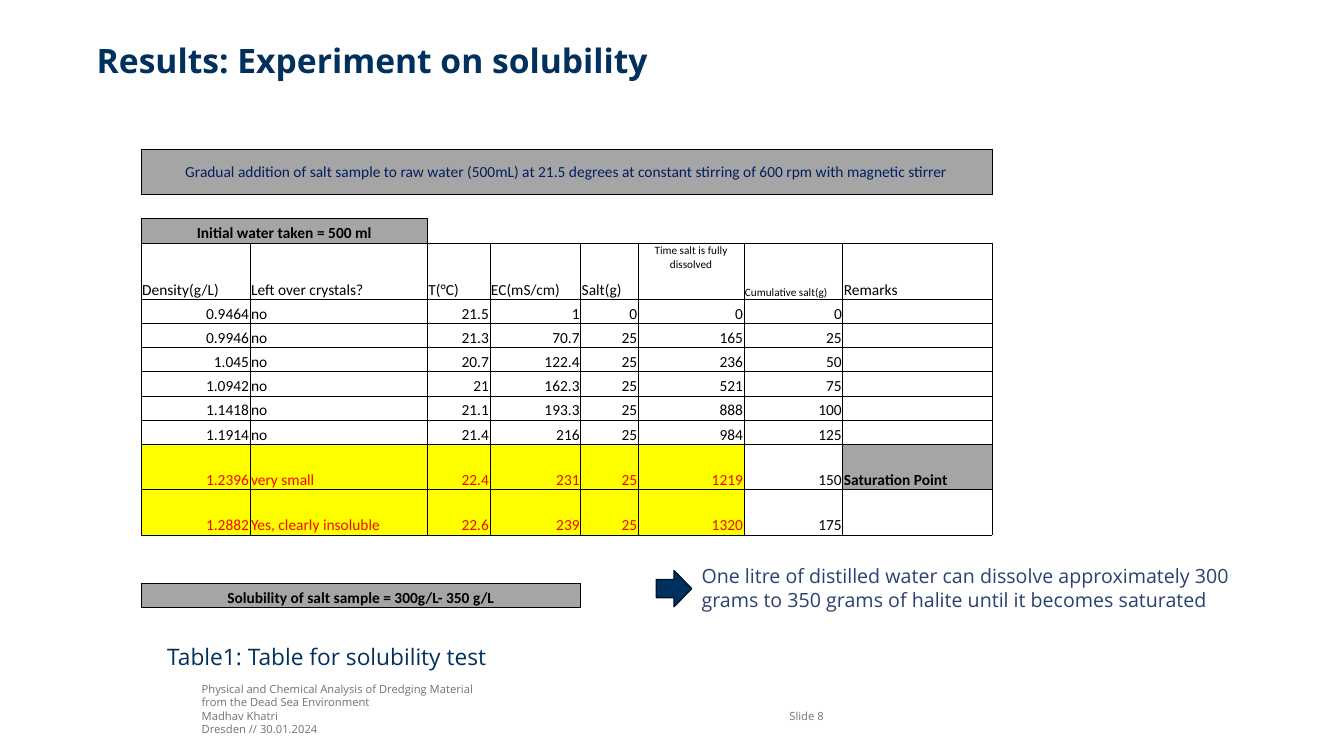
"""Build the slide on the salt solubility experiment."""
from pptx import Presentation
from pptx.dml.color import RGBColor
from pptx.enum.shapes import MSO_SHAPE
from pptx.enum.text import MSO_ANCHOR, PP_ALIGN
from pptx.oxml import parse_xml
from pptx.oxml.ns import nsdecls
from pptx.util import Inches, Pt

NAVY = RGBColor(0x00, 0x30, 0x5D)
EDGE = RGBColor(0x00, 0x15, 0x29)
BLUE = RGBColor(0x29, 0x41, 0x71)
INK = RGBColor(0x00, 0x20, 0x60)
GREY = RGBColor(0x72, 0x72, 0x77)
SILVER = RGBColor(0xA5, 0xA5, 0xA5)
BLACK = RGBColor(0x00, 0x00, 0x00)
RED = RGBColor(0xFF, 0x00, 0x00)
YELLOW = RGBColor(0xFF, 0xFF, 0x00)

COLS = [1.08, 1.76, 0.62, 0.9, 0.57, 1.05, 0.98, 1.48]
ROWS = [0.45, 0.24, 0.24, 0.56] + [0.24] * 6 + [0.45] * 2 + [0.24] * 3
HEAD, FIRST, SPOT, LAST = 3, 4, 10, 11
SPANS = {0: 8, 2: 2, 14: 4}
BARS = {
    0: "Gradual addition of salt sample to raw water (500mL) at 21.5 degrees "
       "at constant stirring of 600 rpm with magnetic stirrer",
    2: "Initial water taken = 500 ml",
    14: "Solubility of salt sample = 300g/L- 350 g/L",
}
NAMES = ["Density(g/L)", "Left over crystals?", "T(°C)", "EC(mS/cm)", "Salt(g)",
         "Time salt is fully dissolved", "Cumulative salt(g)", "Remarks"]
DATA = [
    ["0.9464", "no", "21.5", "1", "0", "0", "0", ""],
    ["0.9946", "no", "21.3", "70.7", "25", "165", "25", ""],
    ["1.045", "no", "20.7", "122.4", "25", "236", "50", ""],
    ["1.0942", "no", "21", "162.3", "25", "521", "75", ""],
    ["1.1418", "no", "21.1", "193.3", "25", "888", "100", ""],
    ["1.1914", "no", "21.4", "216", "25", "984", "125", ""],
    ["1.2396", "very small", "22.4", "231", "25", "1219", "150", "Saturation Point"],
    ["1.2882", "Yes, clearly insoluble", "22.6", "239", "25", "1320", "175", ""],
]


def style(para, size, color, bold=False, face="Open Sans"):
    """Set the font of a paragraph."""
    font = para.font
    font.name, font.size, font.bold = face, Pt(size), bold
    font.color.rgb = color


def label(slide, box, text, size, color, bold=False, pad=0.0, wrap=True,
          anchor=MSO_ANCHOR.TOP):
    """Add a text box with one font."""
    frame = slide.shapes.add_textbox(*map(Inches, box)).text_frame
    frame.word_wrap, frame.vertical_anchor = wrap, anchor
    frame.margin_left = frame.margin_right = Inches(pad)
    frame.margin_top = frame.margin_bottom = Inches(pad / 2)
    frame.text = text
    for para in frame.paragraphs:
        style(para, size, color, bold)


def boxed(row, col):
    """Tell whether a cell of the grid has borders."""
    if row in SPANS:
        return 0 <= col < SPANS[row]
    return HEAD <= row <= LAST and 0 <= col < len(COLS)


def border(cell, row, col):
    """Draw the sides that touch a boxed cell and clear the others."""
    props = cell._tc.get_or_add_tcPr()
    for side, down, right in (("L", 0, -1), ("R", 0, 1), ("T", -1, 0), ("B", 1, 0)):
        shown = boxed(row, col) or boxed(row + down, col + right)
        fill = '<a:solidFill><a:srgbClr val="000000"/></a:solidFill>' if shown else "<a:noFill/>"
        props.append(parse_xml(
            f'<a:ln{side} {nsdecls("a")} w="6350">{fill}</a:ln{side}>'))


def look(row, col):
    """Return text, alignment, size, colour, bold and fill of a cell."""
    left, mid, right = PP_ALIGN.LEFT, PP_ALIGN.CENTER, PP_ALIGN.RIGHT
    if row in BARS:
        text = BARS[row] if col == 0 else ""
        fill = SILVER if boxed(row, col) else None
        return text, mid, 11, BLACK if row else INK, row > 0, fill
    if row == HEAD:
        small = col in (5, 6)
        return NAMES[col], mid if col == 5 else left, 8 if small else 11, BLACK, False, None
    if FIRST <= row <= LAST:
        text = DATA[row - FIRST][col]
        align = left if col in (1, 7) else right
        hot = row >= SPOT and col < 6
        mark = row == SPOT and col == 7
        fill = YELLOW if hot else SILVER if mark else None
        return text, align, 11, RED if hot else BLACK, mark, fill
    return "", left, 11, BLACK, False, None


def grid(slide, left, top):
    """Add the table of measurements."""
    table = slide.shapes.add_table(
        len(ROWS), len(COLS), Inches(left), Inches(top),
        Inches(sum(COLS)), Inches(sum(ROWS))).table
    table.first_row = table.horz_banding = False
    for col, width in enumerate(COLS):
        table.columns[col].width = Inches(width)
    for row, height in enumerate(ROWS):
        table.rows[row].height = Inches(height)
        for col in range(len(COLS)):
            cell = table.cell(row, col)
            text, align, size, color, bold, fill = look(row, col)
            cell.margin_left = cell.margin_right = cell.margin_top = Inches(0.01)
            cell.margin_bottom = 0
            cell.vertical_anchor = MSO_ANCHOR.BOTTOM if row else MSO_ANCHOR.MIDDLE
            if (row, col) == (HEAD, 5):
                cell.vertical_anchor = MSO_ANCHOR.TOP
            border(cell, row, col)
            if fill:
                cell.fill.solid()
                cell.fill.fore_color.rgb = fill
            else:
                cell.fill.background()
            cell.text = text
            para = cell.text_frame.paragraphs[0]
            para.alignment = align
            style(para, size, color, bold, "Calibri")
    for row, span in SPANS.items():
        table.cell(row, 0).merge(table.cell(row, span - 1))


def finding(slide, left, top):
    """Add the arrow and the conclusion beside it."""
    arrow = slide.shapes.add_shape(
        MSO_SHAPE.RIGHT_ARROW, Inches(left), Inches(top + 0.11), Inches(0.35), Inches(0.36))
    arrow.shadow.inherit = False
    arrow.fill.solid()
    arrow.fill.fore_color.rgb = NAVY
    arrow.line.color.rgb = EDGE
    arrow.line.width = Pt(1)
    label(slide, (left + 0.35, top, 5.67, 0.57),
          "One litre of distilled water can dissolve approximately 300 grams "
          "to 350 grams of halite until it becomes saturated", 14, BLUE, pad=0.1)


def footer(slide, left, top):
    """Add the talk details and the slide number."""
    label(slide, (left, top, 5.12, 0.54),
          "Physical and Chemical Analysis of Dredging Material\v"
          "from the Dead Sea Environment\nMadhav Khatri\nDresden // 30.01.2024",
          8, GREY, anchor=MSO_ANCHOR.BOTTOM)
    label(slide, (left + 5.83, top + 0.27, 0.77, 0.14), "Slide 8", 8, GREY,
          anchor=MSO_ANCHOR.BOTTOM)


def main():
    """Build and save the slide."""
    deck = Presentation()
    deck.slide_width, deck.slide_height = Inches(13.33), Inches(7.5)
    slide = deck.slides.add_slide(deck.slide_layouts[6])
    footer(slide, 2, 6.76)
    label(slide, (0.96, 0.4, 11.57, 0.75), "Results: Experiment on solubility",
          24, NAVY, bold=True)
    finding(slide, 6.51, 5.55)
    grid(slide, 1.4, 1.48)
    label(slide, (1.56, 6.33, 3.4, 0.37), "Table1: Table for solubility test",
          16.2, NAVY, pad=0.1, wrap=False)
    deck.save("out.pptx")


if __name__ == "__main__":
    main()
